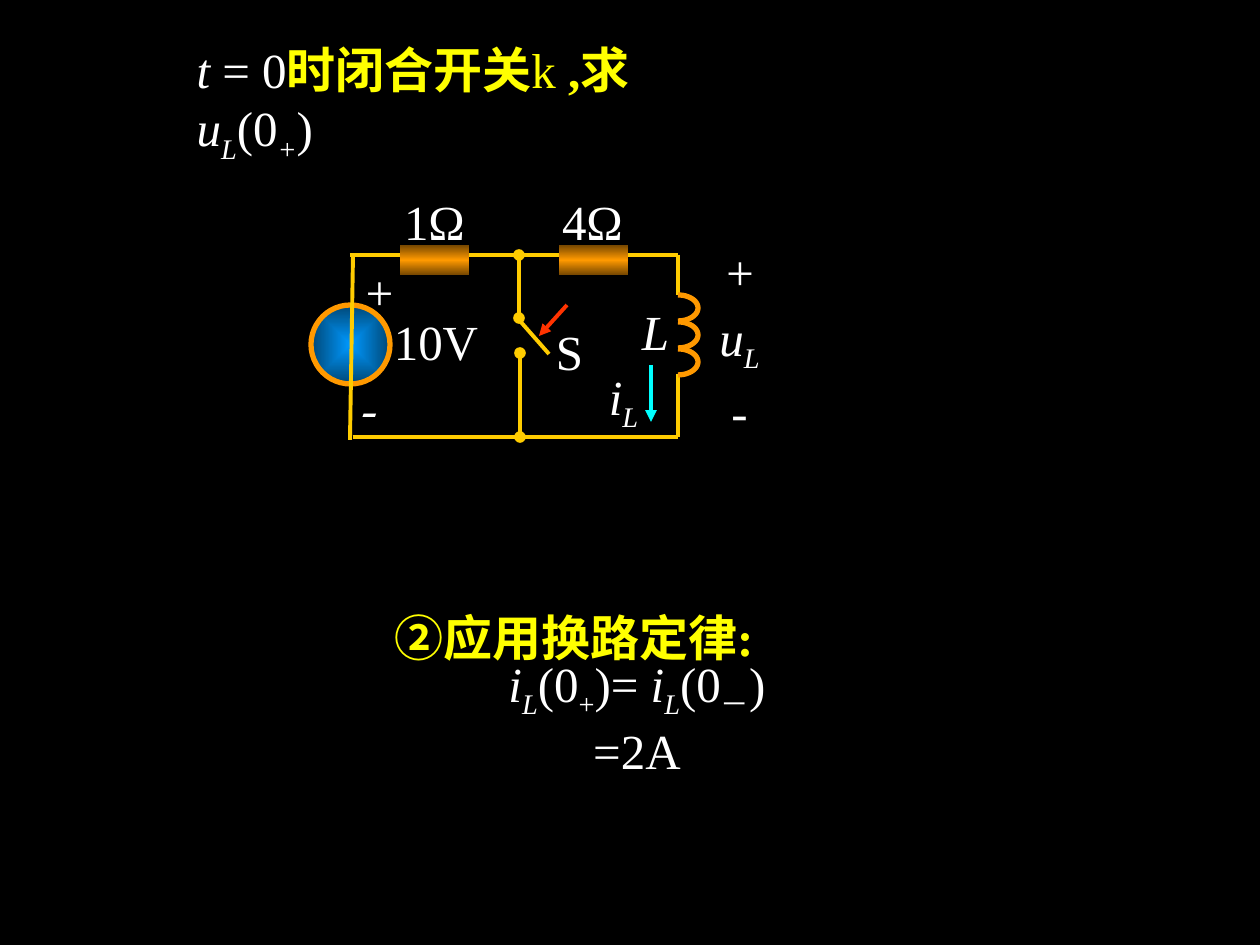
from math import cos, pi, sin

from pptx import Presentation
from pptx.dml.color import RGBColor
from pptx.enum.shapes import MSO_CONNECTOR, MSO_SHAPE
from pptx.enum.text import MSO_ANCHOR, MSO_AUTO_SIZE, PP_ALIGN
from pptx.oxml import parse_xml
from pptx.oxml.ns import nsdecls
from pptx.oxml.xmlchemy import OxmlElement
from pptx.util import Emu, Pt

SCALE = 914400 / 126
WHITE, YELLOW, GOLD, ORANGE = "FFFFFF", "FFFF00", "FFCC00", "FF9900"
ITAL = dict(italic=True)
SUB = dict(italic=True, sub=True)
BOLD = dict(bold=True, color=YELLOW)
ROMAN = {}


def px(value):
    return Emu(round(value * SCALE))


def paint(code):
    return RGBColor.from_string(code)


def node(tag, **attrs):
    item = OxmlElement(tag)
    for name, value in attrs.items():
        item.set(name, str(value))
    return item


def write(para, text, size=28, color=WHITE, bold=False, italic=False,
          sub=False, face="Times New Roman"):
    """Add one run; a newline stands for a line break."""
    if text == "\n":
        para.add_line_break()
        return
    run = para.add_run()
    run.text = text
    font = run.font
    font.size, font.bold, font.italic, font.name = Pt(size), bold, italic, face
    font.color.rgb = paint(color)
    props = font._element
    props.append(node("a:ea", typeface="Noto Sans CJK SC"))
    if sub:
        props.set("baseline", "-25000")


class Board:
    """The circuit's line style and the slide it is drawn on."""
    wire = 2.25
    coil = 3

    def __init__(self, slide):
        self.slide = slide
        self.shapes = slide.shapes
        fill = slide.background.fill
        fill.solid()
        fill.fore_color.rgb = paint("000000")

    def fit(self, shape, box, *lines, align=PP_ALIGN.CENTER, wrap=False, gap=0):
        """Place a text shape and fill it with lines of (text, format) runs."""
        shape.left, shape.top, shape.width, shape.height = map(px, box)
        frame = shape.text_frame
        frame.word_wrap = wrap
        frame.auto_size = MSO_AUTO_SIZE.SHAPE_TO_FIT_TEXT
        frame.vertical_anchor = MSO_ANCHOR.MIDDLE
        for index, runs in enumerate(lines):
            para = frame.add_paragraph() if index else frame.paragraphs[0]
            para.alignment = align
            para.space_before = Pt(gap if index else 0)
            for text, style in runs:
                write(para, text, **style)

    def label(self, box, *lines, **style):
        self.fit(self.shapes.add_textbox(0, 0, 0, 0), box, *lines, **style)

    def title(self, box, runs):
        self.fit(self.shapes.title, box, runs, align=PP_ALIGN.LEFT, wrap=True)

    def step(self, box, number, runs):
        """Put a circled-number list item in the body placeholder."""
        body = self.slide.placeholders[1]
        props = body.text_frame.paragraphs[0]._p.get_or_add_pPr()
        props.set("marL", str(px(48)))
        props.set("indent", str(px(-48)))
        props.append(node("a:buFont", typeface="Noto Sans CJK SC"))
        props.append(node("a:buAutoNum", type="circleNumDbPlain", startAt=number))
        self.fit(body, box, runs, align=PP_ALIGN.LEFT)

    def line(self, x1, y1, x2, y2, color=GOLD, head=None, tail=None):
        link = self.shapes.add_connector(
            MSO_CONNECTOR.STRAIGHT, px(x1), px(y1), px(x2), px(y2))
        link.line.color.rgb = paint(color)
        link.line.width = Pt(self.wire)
        stroke = link.line._get_or_add_ln()
        for tag, kind in (("a:headEnd", head), ("a:tailEnd", tail)):
            if kind:
                stroke.append(node(tag, type=kind))
        link._element.spPr.append(node("a:effectLst"))

    def block(self, kind, box, stops, path, edge=None):
        """Draw a shape with a gradient of (percent, colour) stops."""
        shape = self.shapes.add_shape(kind, *map(px, box))
        shape.shadow.inherit = False
        shape.fill.background()
        colors = "".join(
            f'<a:gs pos="{at * 1000}"><a:srgbClr val="{code}"/></a:gs>'
            for at, code in stops)
        blend = parse_xml(f'<a:gradFill {nsdecls("a")} rotWithShape="1">'
                          f"<a:gsLst>{colors}</a:gsLst>{path}</a:gradFill>")
        props = shape._element.spPr
        props.replace(props.find(".//{*}noFill"), blend)
        self.edge(shape, edge)

    def edge(self, shape, color):
        if color:
            shape.line.color.rgb = paint(color)
            shape.line.width = Pt(self.coil)
        else:
            shape.line.fill.background()

    def turn(self, left, top, width, height, count=24):
        """Draw one half-round coil turn that opens to the left."""
        points = [(px(left + width * sin(pi * n / count)),
                   px(top + height * (1 - cos(pi * n / count)) / 2))
                  for n in range(count + 1)]
        path = self.shapes.build_freeform(*points[0], scale=1.0)
        path.add_line_segments(points[1:], close=False)
        shape = path.convert_to_shape()
        shape.shadow.inherit = False
        shape.fill.background()
        self.edge(shape, ORANGE)


def source(board):
    center = ('<a:path path="shape"><a:fillToRect l="50000" t="50000" '
              'r="50000" b="50000"/></a:path>')
    board.block(MSO_SHAPE.OVAL, (311, 305, 79, 79),
                [(0, "0099FF"), (100, "004776")], center, ORANGE)


def wires(board):
    for ends in ((678, 374, 678, 437), (350, 440, 353, 255),
                 (353, 437, 678, 437), (350, 255, 678, 255),
                 (678, 255, 678, 295), (520, 321, 549, 354)):
        board.line(*ends)
    for ends in ((519, 255, 519, 318), (520, 353, 520, 437)):
        board.line(*ends, head="oval", tail="oval")
    board.line(567, 305, 539, 336, "FF3300", tail="triangle")
    board.line(651, 365, 651, 422, "00FFFF", tail="triangle")


def parts(board):
    for row in range(3):
        board.turn(678, 295 + 27 * row, 20, 26)
    for left in (400, 559):
        board.block(MSO_SHAPE.RECTANGLE, (left, 245, 69, 30),
                    [(0, "764700"), (50, ORANGE), (100, "764700")],
                    '<a:lin ang="5400000" scaled="0"/>')


def labels(board):
    for left, top, width, text, style in (
            (629, 295, 53, "L", ITAL), (381, 305, 110, "10V", ROMAN),
            (543, 315, 53, "S", ROMAN), (391, 185, 87, "1Ω", ROMAN),
            (549, 185, 87, "4Ω", ROMAN), (350, 255, 58, "+", ITAL),
            (340, 374, 50, "-", dict(italic=True, face="Noto Sans CJK SC"))):
        board.label((left, top, width, 72), [(text, style)])
    board.label((595, 364, 57, 72), [("i", ITAL), ("L", SUB)])
    board.label((706, 246, 67, 190), [("+", ITAL)],
                [("u", ITAL), ("L", SUB)], [("-", ROMAN)], gap=4)


def main():
    deck = Presentation()
    deck.slide_width, deck.slide_height = px(1260), px(945)
    board = Board(deck.slides.add_slide(deck.slide_layouts[1]))
    board.title((184, 66, 625, 72), [
        ("t ", ITAL), ("= 0", ROMAN), ("时闭合开关", BOLD),
        ("k", dict(color=YELLOW)), (" ,求", BOLD), ("\n", ROMAN),
        ("u", ITAL), ("L", SUB), ("(0", ROMAN), ("+", SUB), (")", ROMAN)])
    board.step((382, 601, 387, 72), 2, [("应用换路定律:", BOLD)])
    board.label((441, 680, 392, 72), [
        ("i", ITAL), ("L", SUB), ("(0", ROMAN), ("+", dict(sub=True)),
        (")= ", ROMAN), ("i", ITAL), ("L", SUB), ("(0", ROMAN),
        ("－", dict(sub=True)), (")", ROMAN), ("\n", ROMAN), ("=2A", ROMAN)])
    source(board)
    wires(board)
    parts(board)
    labels(board)
    deck.save("out.pptx")


if __name__ == "__main__":
    main()
